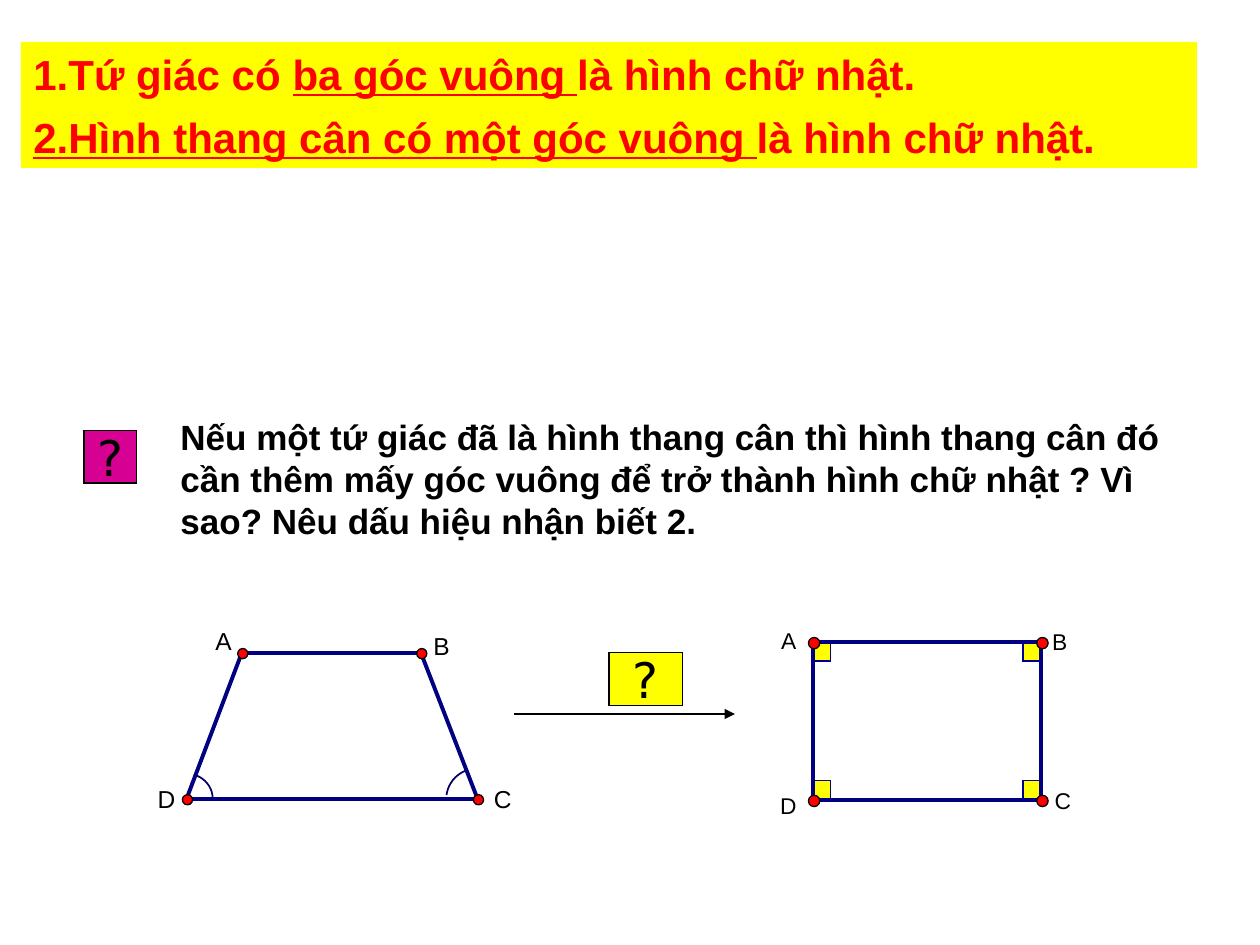
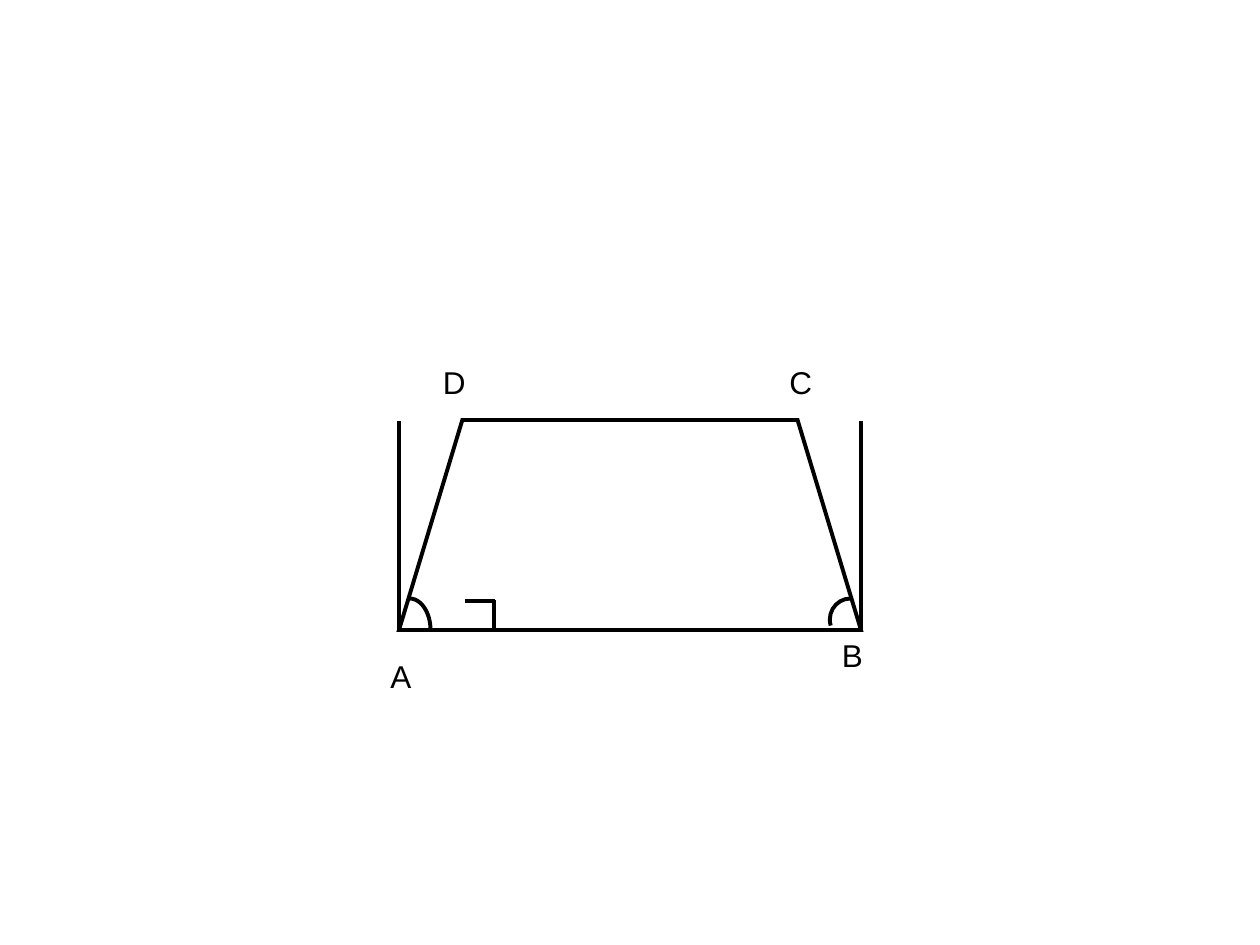
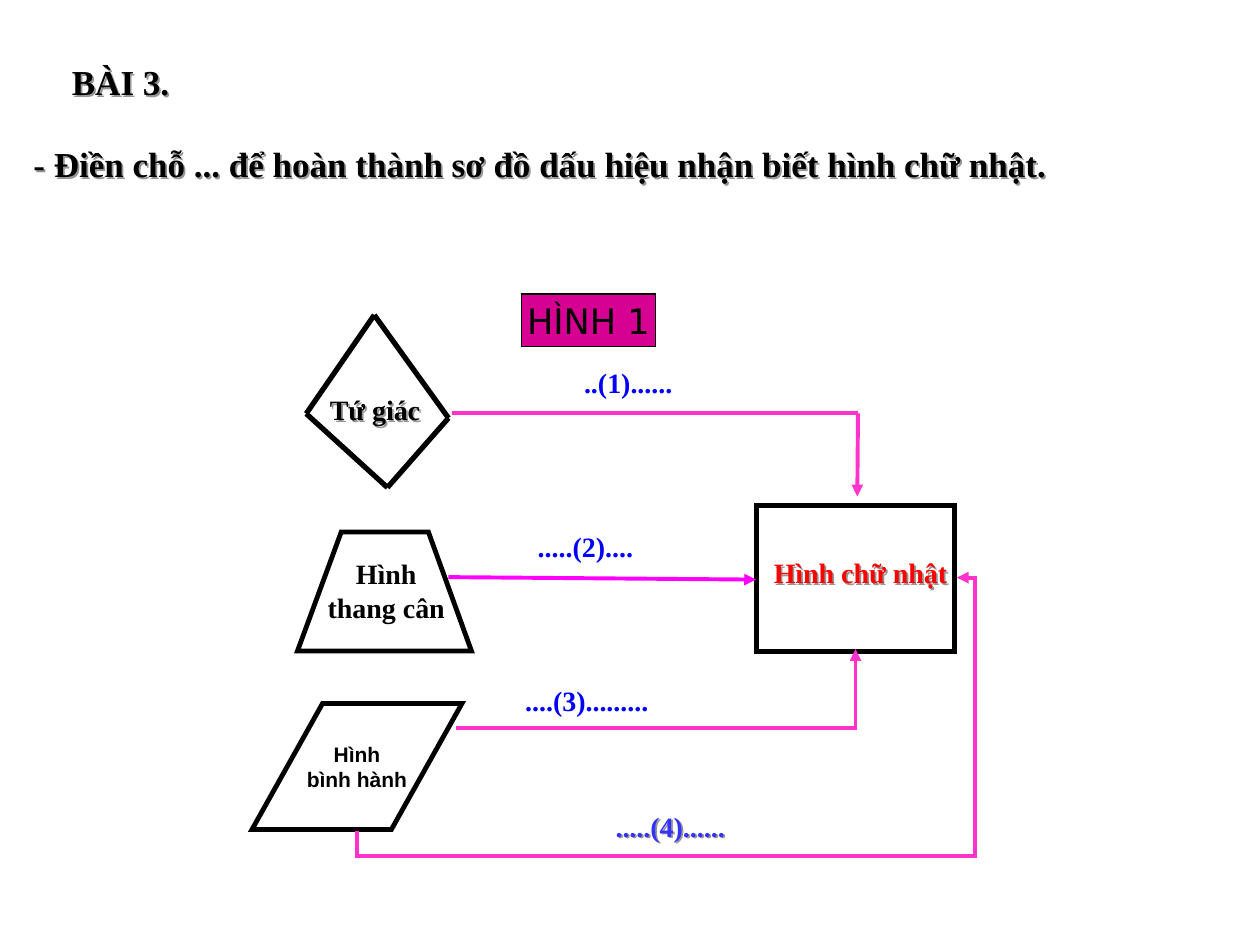
from dataclasses import dataclass

from lxml.etree import SubElement
from pptx import Presentation
from pptx.dml.color import RGBColor as RGB
from pptx.enum.shapes import MSO_CONNECTOR as LINK, MSO_SHAPE as SHAPE
from pptx.enum.text import MSO_ANCHOR as ANCHOR, PP_ALIGN as ALIGN
from pptx.oxml.ns import qn
from pptx.util import Pt


@dataclass(frozen=True)
class Theme:
    # Colours
    black: str = "000000"
    red: str = "FF0000"
    yellow: str = "FFFF00"
    magenta: str = "D60093"
    fuchsia: str = "FF00FF"
    pink: str = "FF33CC"
    navy: str = "000080"
    corner: str = "000099"
    arc: str = "000066"
    blue: str = "0000FF"
    soft_blue: str = "3333FF"
    shadow: str = "969696"
    # Fonts and sizes
    sans: str = "Arial"
    serif: str = "Times New Roman"
    badge: str = "DejaVu Sans"
    rule: float = 24
    heading: float = 20
    mark: float = 28
    vertex: float = 18
    diagram: float = 16
    trapezoid_letter: float = 14
    rectangle_letter: float = 13
    small: float = 12
    # Line widths
    thin: float = 0.75
    edge: float = 2.25


THEME = Theme()


def color(value):
    return RGB.from_string(value)


def outline(shape, line_color, width):
    if line_color is None:
        shape.line.fill.background()
        return
    shape.line.color.rgb = color(line_color)
    shape.line.width = Pt(width)
    SubElement(shape.line._get_or_add_ln(), qn("a:miter"), lim="800000")


def paint(shape, fill=None, line_color=None, width=THEME.thin):
    shape.shadow.inherit = False
    if fill:
        shape.fill.solid()
        shape.fill.fore_color.rgb = color(fill)
    else:
        shape.fill.background()
    outline(shape, line_color, width)
    return shape


def style(run, size, font, ink, bold=False, underline=False):
    run.font.size = Pt(size)
    run.font.name = font
    run.font.bold = bold
    run.font.underline = underline
    run.font.color.rgb = color(ink)


def write(shape, text, size, font=THEME.sans, ink=THEME.black, align=ALIGN.LEFT,
          anchor=ANCHOR.TOP, wrap=True, inset=(7.2, 3.6), bold=False):
    frame = shape.text_frame
    frame.word_wrap = wrap
    frame.vertical_anchor = anchor
    frame.margin_left = frame.margin_right = Pt(inset[0])
    frame.margin_top = frame.margin_bottom = Pt(inset[1])
    frame.text = text
    for paragraph in frame.paragraphs:
        paragraph.alignment = align
        for run in paragraph.runs:
            style(run, size, font, ink, bold)


def add_text(slide, box, text, size, shadow=False, **look):
    """Text box; with a shadow, its letters cast it, as the box has no fill."""
    text_box = slide.shapes.add_textbox(*map(Pt, box))
    write(text_box, text, size, **look)
    if shadow:
        effects = SubElement(text_box._element.spPr, qn("a:effectLst"))
        cast = SubElement(effects, qn("a:outerShdw"), dist="17961", dir="2700000")
        SubElement(cast, qn("a:srgbClr"), val=THEME.shadow)


def add_box(slide, kind, box, **look):
    return paint(slide.shapes.add_shape(kind, *map(Pt, box)), **look)


def add_badge(slide, box, text, size, fill):
    badge = add_box(slide, SHAPE.RECTANGLE, box, fill=fill, line_color=THEME.black)
    write(badge, text, size, font=THEME.badge, align=ALIGN.CENTER,
          anchor=ANCHOR.MIDDLE, wrap=False)


def add_rule_band(slide, top, parts):
    """Yellow band holding (text, underlined) parts."""
    band = add_box(slide, SHAPE.RECTANGLE, (12, top, 672, 36), fill=THEME.yellow)
    write(band, "", THEME.rule)
    for text, underlined in parts:
        run = band.text_frame.paragraphs[0].add_run()
        run.text = text
        style(run, THEME.rule, THEME.sans, THEME.red, bold=True, underline=underlined)


def add_line(slide, start, end, ink=THEME.black, width=THEME.edge,
             arrow=False, kind=LINK.STRAIGHT):
    line = slide.shapes.add_connector(kind, *map(Pt, (*start, *end)))
    outline(line, ink, width)
    if arrow:
        SubElement(line.line._get_or_add_ln(), qn("a:tailEnd"), type="triangle")
    SubElement(line._element.spPr, qn("a:effectLst"))
    return line


def add_elbow(slide, start, end, preset, bends=(), turn=0):
    """Pink elbow arrow; bends are thousandths of the size, turn is in degrees."""
    elbow = add_line(slide, start, end, THEME.pink, arrow=True, kind=LINK.ELBOW)
    properties = elbow._element.spPr
    if turn:
        properties.find(qn("a:xfrm")).set("rot", str(turn * 60000))
    geometry = properties.find(qn("a:prstGeom"))
    geometry.set("prst", preset)
    guides = geometry.find(qn("a:avLst"))
    if guides is None:
        guides = SubElement(geometry, qn("a:avLst"))
    for number, bend in enumerate(bends, 1):
        SubElement(guides, qn("a:gd"), name=f"adj{number}", fmla=f"val {bend * 100}")


def add_edges(slide, corners, ink, width):
    for start, end in zip(corners, corners[1:] + corners[:1]):
        add_line(slide, start, end, ink, width)


def add_outline(slide, corners, width):
    builder = slide.shapes.build_freeform(*map(Pt, corners[0]))
    builder.add_line_segments([tuple(map(Pt, corner)) for corner in corners[1:]])
    paint(builder.convert_to_shape(), line_color=THEME.black, width=width)


def add_arc(slide, center, radii, angles, ink, width):
    (x, y), (rx, ry) = center, radii
    arc = add_box(slide, SHAPE.ARC, (x - rx, y - ry, 2 * rx, 2 * ry),
                  line_color=ink, width=width)
    for index, angle in enumerate(angles):
        arc.adjustments[index] = angle * 0.6


def add_dotted_figure(slide, corners, dot, shift, label_spots, size):
    """Polygon with red dots on its corners and the letters A to D beside them."""
    add_edges(slide, corners, THEME.navy, THEME.edge)
    for (x, y), spot, letter in zip(corners, label_spots, "ABCD"):
        left, top = x + shift[0] - dot / 2, y + shift[1] - dot / 2
        add_box(slide, SHAPE.OVAL, (left, top, dot, dot), fill=THEME.red,
                line_color=THEME.black, width=0)
        add_text(slide, (*spot, 10, 16), letter, size, inset=(0, 0))


def build_rules_slide(slide):
    # Recognition rules
    add_rule_band(slide, 24, [("1.Tứ giác có ", False), ("ba góc vuông ", True),
                              ("là hình chữ nhật.", False)])
    add_rule_band(slide, 60, [("2.Hình thang cân có một góc vuông ", True),
                              ("là hình chữ nhật.", False)])

    # Question
    add_badge(slide, (48, 246, 30, 30), "?", THEME.mark, THEME.magenta)
    add_text(slide, (96, 234, 600, 79),
             "Nếu một tứ giác đã là hình thang cân thì hình thang cân đó cần thêm "
             "mấy góc vuông để trở thành hình chữ nhật ? Vì sao? "
             "Nêu dấu hiệu nhận biết 2.", THEME.heading, bold=True)

    # Isosceles trapezoid
    trapezoid = [(138.2, 373), (240.5, 373), (272.9, 456.5), (106.6, 456.5)]
    add_dotted_figure(slide, trapezoid, 5.8, (0.5, 0.5),
                      [(123.1, 358), (247.7, 360.7), (282.2, 448), (90, 448)],
                      THEME.trapezoid_letter)
    add_arc(slide, trapezoid[3], (15, 14.4), (287, 357), THEME.arc, 1)
    add_arc(slide, trapezoid[2], (17.8, 17.4), (187, 246), THEME.arc, 1)

    # Step from trapezoid to rectangle
    add_line(slide, (294, 408), (420, 408), width=THEME.thin, arrow=True)
    add_badge(slide, (348, 373, 42, 30), "?", THEME.mark, THEME.yellow)

    # Rectangle with its right angles
    for left in (464.6, 584.6):
        for top in (367, 446):
            add_box(slide, SHAPE.RECTANGLE, (left, top, 10, 10.8), fill=THEME.yellow,
                    line_color=THEME.corner, width=1)
    rectangle = [(464.5, 367), (595, 367), (595, 457.2), (464.5, 457.2)]
    add_dotted_figure(slide, rectangle, 6.5, (0.7, 0.5),
                      [(446.4, 358), (601.2, 358.8), (602.6, 449.4), (445.8, 452.2)],
                      THEME.rectangle_letter)


def build_trapezoid_slide(slide):
    # Trapezoid and the upright at each end of its base
    left, right, top, base = 228, 492, 240, 360
    add_outline(slide, [(left, base), (264.2, top), (455.8, top), (right, base)],
                THEME.edge)
    for x in (left, right):
        add_line(slide, (x, top + 0.5), (x, base))

    # Angle marks
    add_arc(slide, (234, base), (12, 18), (270, 0), THEME.black, THEME.edge)
    add_arc(slide, (486, 354), (11.8, 12), (163, 270), THEME.black, THEME.edge)
    add_line(slide, (265.7, 343.5), (283, 343.5), width=2.5)
    add_line(slide, (282.2, 343), (282.2, 360.5))

    # Corner letters
    for letter, x, y in [("A", 216, 372), ("B", 474, 360), ("D", 246, 204), ("C", 444, 204)]:
        add_text(slide, (x, y, 42, 29), letter, THEME.vertex)


def build_exercise_slide(slide):
    serif = dict(font=THEME.serif, bold=True)
    centred = dict(serif, align=ALIGN.CENTER)

    # Heading and task
    add_text(slide, (34, 31, 180, 32), "BÀI 3.", THEME.heading, shadow=True, **serif)
    add_text(slide, (12, 78, 660, 32),
             "- Điền chỗ ... để hoàn thành sơ đồ dấu hiệu nhận biết hình chữ nhật.",
             THEME.heading, shadow=True, **serif)
    add_badge(slide, (298, 168, 76.5, 30), "HÌNH 1", THEME.heading, THEME.magenta)

    # Quadrilateral
    add_edges(slide, [(175, 236.4), (213.9, 180), (256.3, 238.9), (221.4, 278.6)],
              THEME.black, 3)
    add_text(slide, (179.3, 221, 70, 27), "Tứ giác", THEME.diagram, shadow=True, **centred)

    # Isosceles trapezoid
    add_outline(slide, [(170, 372), (195, 304), (244.8, 304), (269.4, 372)], 2.75)
    add_text(slide, (170, 314.6, 101.4, 46), "Hình\nthang cân", THEME.diagram, **centred)

    # Parallelogram
    parallelogram = add_box(slide, SHAPE.PARALLELOGRAM, (144, 402, 120, 72),
                            line_color=THEME.black, width=2.75)
    parallelogram.adjustments[0] = 0.56
    write(parallelogram, "Hình\nbình hành", THEME.small, bold=True, align=ALIGN.CENTER,
          anchor=ANCHOR.MIDDLE, wrap=False)

    # Rectangle
    add_box(slide, SHAPE.RECTANGLE, (432.3, 288.7, 113, 83.5),
            line_color=THEME.black, width=3)
    add_text(slide, (432, 314, 119.5, 27), "Hình chữ nhật", THEME.diagram,
             ink=THEME.red, shadow=True, **centred)

    # Arrows to the rectangle
    add_line(slide, (258.5, 236.2), (490.3, 236.2), THEME.pink)
    add_line(slide, (490.3, 236.2), (489.9, 283.7), THEME.pink, arrow=True)
    add_line(slide, (256.3, 329.8), (432, 331.2), THEME.fuchsia, arrow=True)
    add_elbow(slide, (260.6, 416.2), (488.9, 371), "bentConnector2")
    add_elbow(slide, (447.8, 573.8), (303.1, 231.1), "bentConnector4",
              bends=(-99, 1031), turn=90)

    # Gaps to fill in, each centred in a box wide enough for one line
    gap_width = 140
    for text, center, top, ink, shadow in [
            ("..(1)......", 359, 205.3, THEME.blue, False),
            (".....(2)....", 334.5, 299, THEME.blue, False),
            ("....(3).........", 335.3, 386.8, THEME.blue, False),
            (".....(4)......", 383, 458.8, THEME.soft_blue, True)]:
        add_text(slide, (center - gap_width / 2, top, gap_width, 27), text,
                 THEME.diagram, ink=ink, shadow=shadow, **centred)


def main():
    deck = Presentation()
    deck.slide_width, deck.slide_height = Pt(720), Pt(540)
    for build in (build_rules_slide, build_trapezoid_slide, build_exercise_slide):
        build(deck.slides.add_slide(deck.slide_layouts[6]))
    deck.save("out.pptx")


if __name__ == "__main__":
    main()
